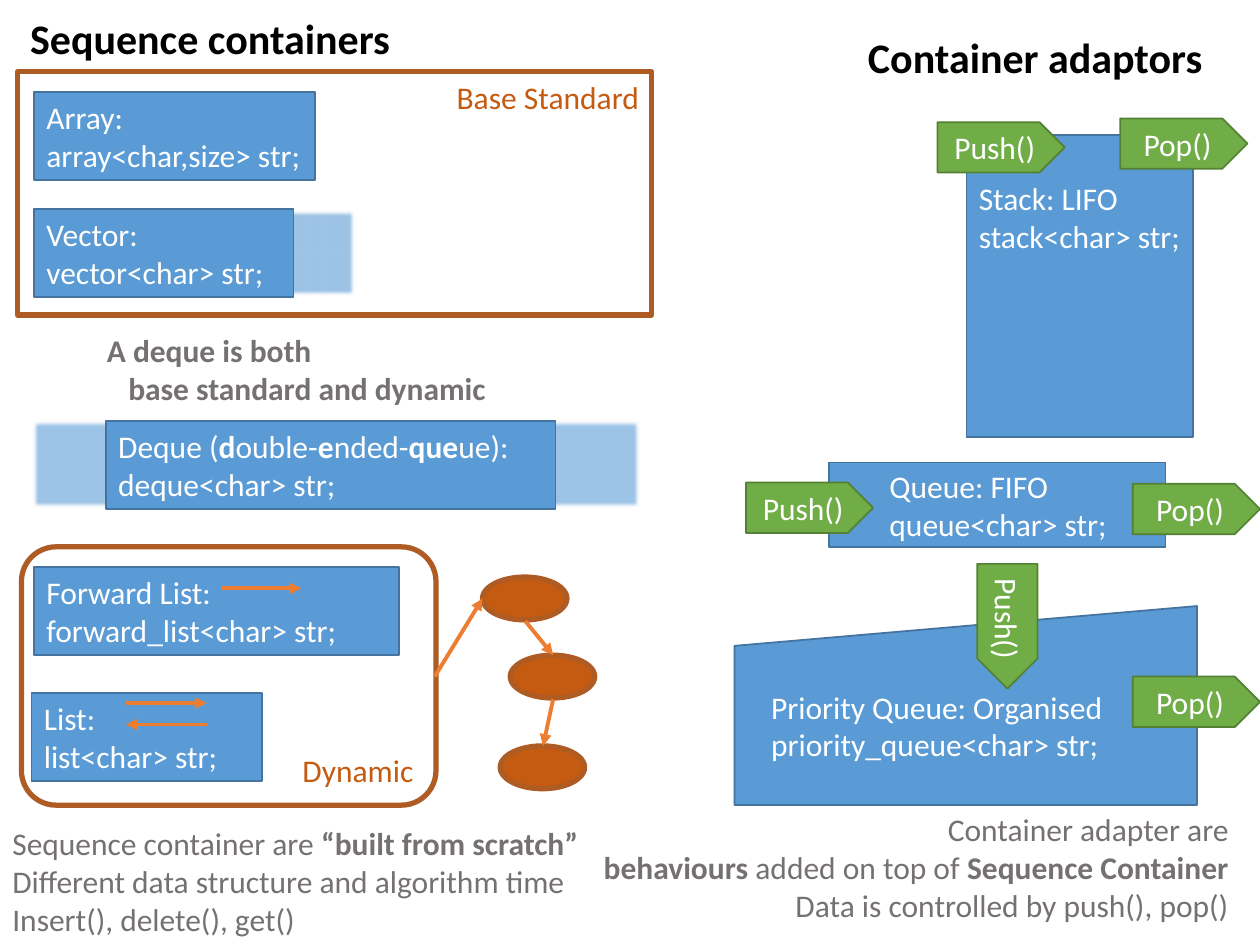
import pptx
import pptx.util
import pptx.dml.color
import pptx.enum.shapes
import pptx.enum.text
import lxml.etree

Inches, Pt = pptx.util.Inches, pptx.util.Pt
SHAPE = pptx.enum.shapes.MSO_SHAPE
ANCHOR = pptx.enum.text.MSO_ANCHOR
ALIGN = pptx.enum.text.PP_ALIGN
LEFT, CENTER, RIGHT = ALIGN.LEFT, ALIGN.CENTER, ALIGN.RIGHT
WHITE, GREY, RUST, BROWN = "FFFFFF", "767171", "C55A11", "AF5C24"
DRAWING = "{http://schemas.openxmlformats.org/drawingml/2006/main}"

deck = pptx.Presentation()
deck.slide_width, deck.slide_height = Inches(10), Inches(7.5)
slide = deck.slides.add_slide(deck.slide_layouts[6])
color = pptx.dml.color.RGBColor.from_string


def add_block(preset, place, fill, line, width):
    block = slide.shapes.add_shape(preset, *map(Inches, place))
    block.shadow.inherit = False
    if fill:
        block.fill.solid()
        block.fill.fore_color.rgb = color(fill)
    else:
        block.fill.background()
    block.line.color.rgb = color(line)
    block.line.width = Pt(width)
    return block


def write(holder, lines, ink, align=LEFT, anchor=ANCHOR.MIDDLE, size=18):
    """Fill a shape with lines; words between asterisks are bold."""
    frame = holder.text_frame
    frame.word_wrap = True
    frame.vertical_anchor = anchor
    frame.text = "\n".join(lines)
    for paragraph, line in zip(frame.paragraphs, lines):
        paragraph.alignment = align
        paragraph.text = ""
        for number, piece in enumerate(line.split("*")):
            if piece:
                run = paragraph.add_run()
                run.text = piece
                run.font.name, run.font.size = "Calibri", Pt(size)
                run.font.bold = number % 2 == 1
                run.font.color.rgb = color(ink)


# Soft-edged room for growth behind the vector and the deque
for place in [(1.08, 1.66, 1.75, 0.7), (0.25, 3.33, 4.83, 0.7)]:
    growth = add_block(SHAPE.RECTANGLE, place, "9DC3E6", "5B9BD5", 0.5)
    effects = growth._element.spPr.find(DRAWING + "effectLst")
    lxml.etree.SubElement(effects, DRAWING + "softEdge", rad=str(Pt(2.5)))

# Containers: place, preset, lines, left margin, top margin, anchor
MIDDLE, TOP = ANCHOR.MIDDLE, ANCHOR.TOP
containers = [
    ((0.27, 0.73, 2.23, 0.7), SHAPE.RECTANGLE,
     ["Array: ", "array<char,size> str;"], 0.1, 0.05, MIDDLE),
    ((0.27, 1.66, 2.06, 0.7), SHAPE.RECTANGLE,
     ["Vector: ", "vector<char> str;"], 0.1, 0.05, MIDDLE),
    ((0.84, 3.34, 3.57, 0.7), SHAPE.RECTANGLE,
     ["Deque (*d*ouble-*e*nded-*que*ue): ", "deque<char> str;"], 0.1, 0.05, MIDDLE),
    ((0.27, 4.5, 2.9, 0.7), SHAPE.RECTANGLE,
     ["Forward List: ", "forward_list<char> str;"], 0.1, 0.05, MIDDLE),
    ((0.25, 5.5, 1.83, 0.7), SHAPE.RECTANGLE,
     ["List: ", "list<char> str;"], 0.1, 0.05, MIDDLE),
    ((7.67, 1.07, 1.8, 2.4), SHAPE.RECTANGLE,
     ["Stack: LIFO", "stack<char> str;"], 0.1, 0.35, TOP),
    ((6.58, 3.67, 2.67, 0.67), SHAPE.RECTANGLE,
     ["Queue: FIFO", "queue<char> str;"], 0.48, 0.05, MIDDLE),
    ((5.83, 4.81, 3.67, 1.58), SHAPE.FLOWCHART_MANUAL_INPUT,
     ["Priority Queue: Organised", "priority_queue<char> str;"], 0.29, 0.05, MIDDLE),
]
for place, preset, lines, indent, drop, anchor in containers:
    container = add_block(preset, place, "5B9BD5", "43739E", 1)
    write(container, lines, WHITE, anchor=anchor)
    container.text_frame.margin_left = Inches(indent)
    container.text_frame.margin_top = Inches(drop)

# Group frames
base_standard = add_block(SHAPE.RECTANGLE, (0.14, 0.57, 5.03, 1.93), None, BROWN, 3)
write(base_standard, ["Base Standard"], RUST, RIGHT, TOP)
dynamic = add_block(SHAPE.ROUNDED_RECTANGLE, (0.17, 4.34, 3.29, 2.05), None, BROWN, 3)
dynamic.adjustments[0] = 0.134
write(dynamic, ["Dynamic"], RUST, RIGHT, ANCHOR.BOTTOM)

# Linked nodes
for left, top in [(3.83, 4.58), (4.05, 5.2), (3.97, 5.92)]:
    add_block(SHAPE.OVAL, (left, top, 0.67, 0.34), RUST, BROWN, 3)

# Arrows: list directions, then links between nodes
for ends in [
    (1, 5.58, 1.64, 5.58), (1.75, 4.67, 2.39, 4.67), (1.64, 5.75, 1, 5.75),
    (3.45, 5.37, 3.83, 4.75), (4.17, 4.93, 4.39, 5.2), (4.39, 5.55, 4.31, 5.92),
]:
    link = slide.shapes.add_connector(
        pptx.enum.shapes.MSO_CONNECTOR.STRAIGHT, *map(Inches, ends))
    link.line.color.rgb = color("ED7D31")
    link.line.width = Pt(2.25)
    lxml.etree.SubElement(link.line._get_or_add_ln(), DRAWING + "tailEnd", type="triangle")
    lxml.etree.SubElement(link._element.spPr, DRAWING + "effectLst")

# Push and pop tags
for name, place, turn in [
    ("Push()", (7.44, 0.97, 1.01, 0.4), 0),
    ("Pop()", (8.89, 0.94, 1.01, 0.4), 0),
    ("Push()", (5.92, 3.83, 1.01, 0.4), 0),
    ("Pop()", (8.99, 5.37, 1.01, 0.4), 0),
    ("Push()", (7.5, 4.73, 0.99, 0.48), 90),
    ("Pop()", (8.99, 3.84, 1.01, 0.4), 0),
]:
    operation = add_block(SHAPE.PENTAGON, place, "70AD47", "538035", 1)
    operation.rotation = turn
    write(operation, [name], WHITE, CENTER)

# Headings and notes
for place, lines, ink, align, size in [
    ((6.79, 0.2, 2.88, 0.5), ["*Container adaptors*"], "000000", LEFT, 24),
    ((0.14, 0.05, 3.09, 0.5), ["*Sequence containers*"], "000000", LEFT, 24),
    ((0, 6.49, 4.74, 1.01),
     ["Sequence container are *\u201cbuilt from scratch\u201d*",
      "Different data structure and algorithm time",
      "Insert(), delete(), get()"], GREY, LEFT, 18),
    ((4.58, 6.38, 5.27, 1.01),
     ["Container adapter are",
      "*behaviours* added on top of *Sequence Container*",
      "Data is controlled by push(), pop()"], GREY, RIGHT, 18),
    ((0.75, 2.58, 3.54, 0.71),
     ["*A deque is both*", "*base standard and dynamic*"], GREY, LEFT, 18),
]:
    caption = slide.shapes.add_textbox(*map(Inches, place))
    write(caption, lines, ink, align, TOP, size)

# The deque note, written last, has its second line indented
deque_note = caption.text_frame.paragraphs[1]
deque_note._p.get_or_add_pPr().set("marL", str(Inches(0.17)))

deck.save("out.pptx")
